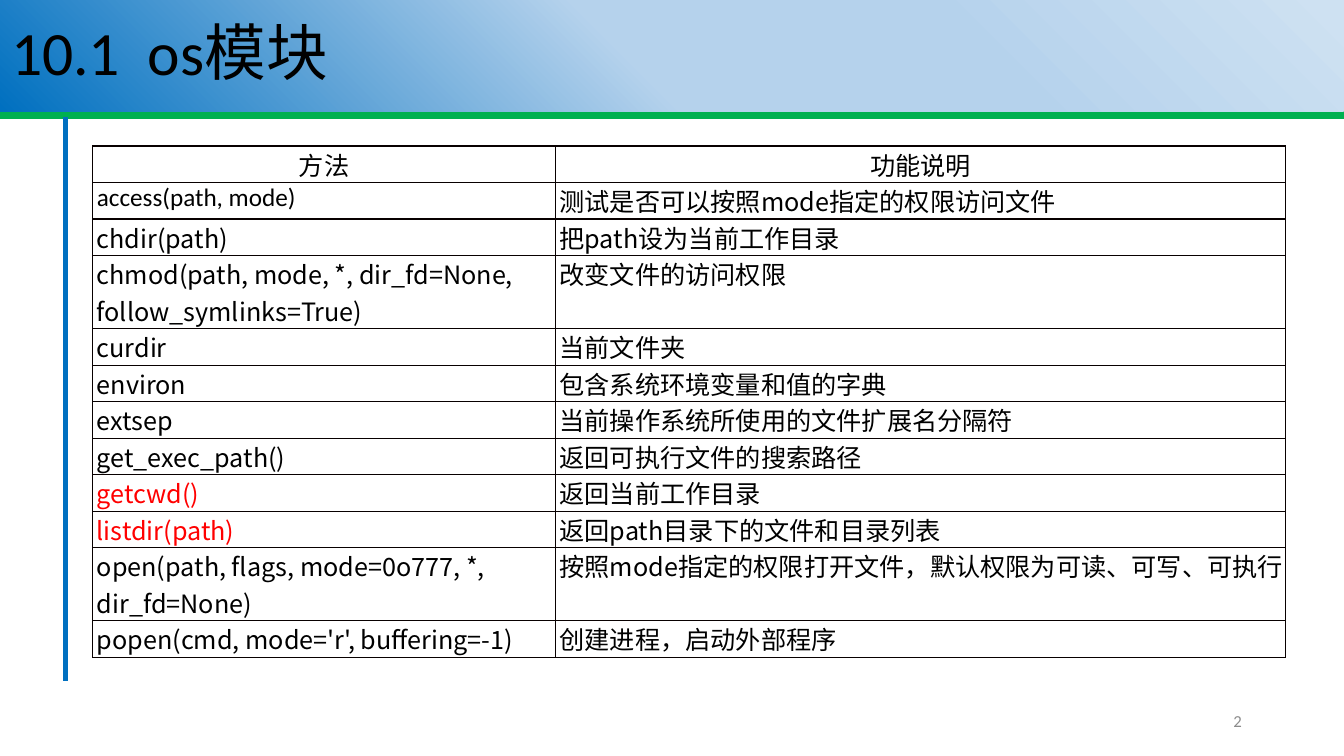
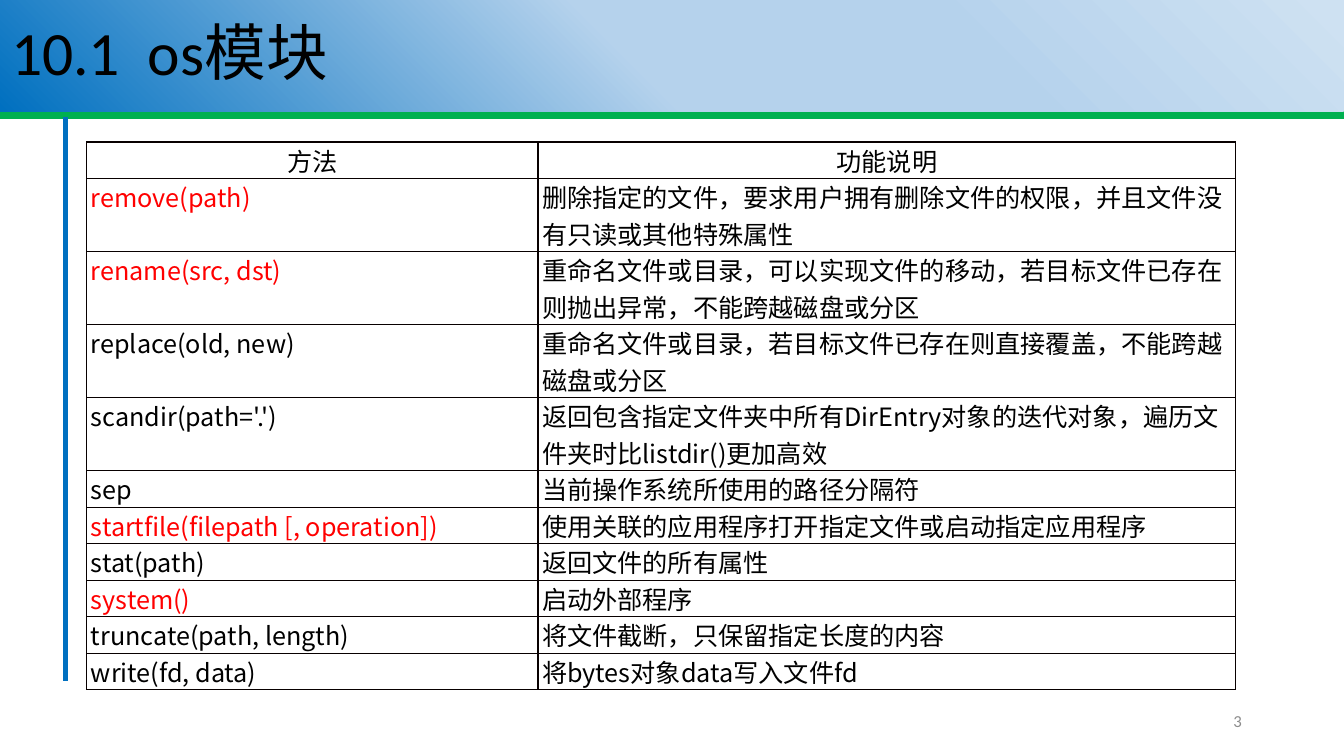
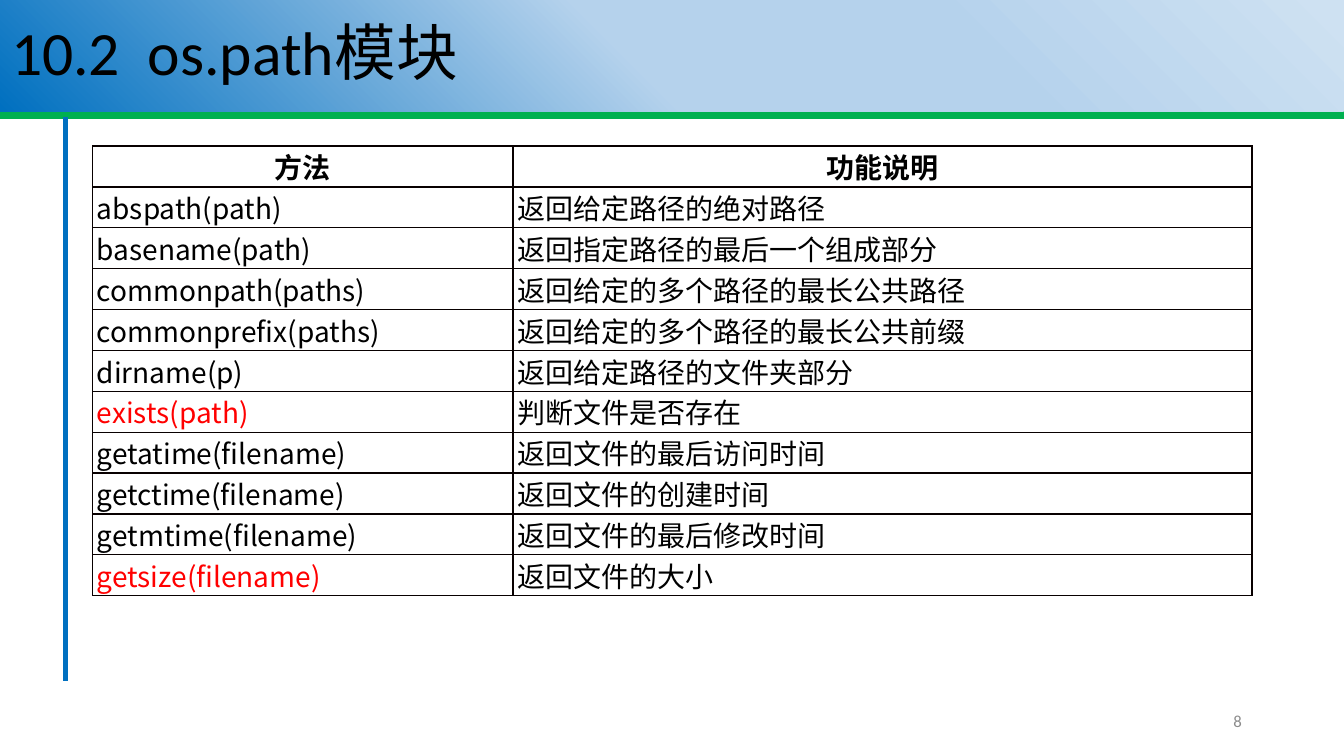
from dataclasses import dataclass
from lxml import etree
from pptx import Presentation
from pptx.dml.color import RGBColor
from pptx.enum.shapes import MSO_CONNECTOR, MSO_SHAPE
from pptx.enum.text import MSO_ANCHOR, PP_ALIGN
from pptx.oxml.ns import qn
from pptx.util import Cm, Pt

RECT = MSO_SHAPE.RECTANGLE
LINE = MSO_CONNECTOR.STRAIGHT
MID, TOP = MSO_ANCHOR.MIDDLE, MSO_ANCHOR.TOP
LEFT, MID_X, RIGHT = PP_ALIGN.LEFT, PP_ALIGN.CENTER, PP_ALIGN.RIGHT


@dataclass(frozen=True)
class Theme:
    ink: str = "000000"
    hot: str = "FF0000"
    grey: str = "8C8C8C"
    green: str = "00B050"
    blue: str = "0070C0"
    grid: str = "080000"
    fade: tuple = ((1, "CEE1F2"), (29, "B5D2EC"), (53, "B5D2EC"), (100, "0070C0"))
    latin: str = "Calibri"
    han: str = "Noto Sans CJK SC"
    title: int = 44
    foot: int = 12


T = Theme()
WIDE, HIGH = 33.87, 19.05
BAND = (0, 0, WIDE, 2.8)
FOOT = (23.93, 17.65, 7.62, 1.02)
HEAD = ("方法", "功能说明")

# Methods shown in red
HOT = {
    "getcwd()", "listdir(path)", "remove(path)", "rename(src, dst)",
    "startfile(filepath [, operation])", "system()",
    "exists(path)", "getsize(filename)",
}
# Methods set in the Latin face
PLAIN = {"access(path, mode)"}
# Methods whose row holds two lines
TALL = {
    "chmod(path, mode, *, dir_fd=None, follow_symlinks=True)",
    "open(path, flags, mode=0o777, *, dir_fd=None)",
    "remove(path)", "rename(src, dst)", "replace(old, new)", "scandir(path='.')",
}

OPEN_ROWS = (
    ("access(path, mode)", "测试是否可以按照mode指定的权限访问文件"),
    ("chdir(path)", "把path设为当前工作目录"),
    ("chmod(path, mode, *, dir_fd=None, follow_symlinks=True)", "改变文件的访问权限"),
    ("curdir", "当前文件夹"),
    ("environ", "包含系统环境变量和值的字典"),
    ("extsep", "当前操作系统所使用的文件扩展名分隔符"),
    ("get_exec_path()", "返回可执行文件的搜索路径"),
    ("getcwd()", "返回当前工作目录"),
    ("listdir(path)", "返回path目录下的文件和目录列表"),
    ("open(path, flags, mode=0o777, *, dir_fd=None)",
     "按照mode指定的权限打开文件，默认权限为可读、可写、可执行"),
    ("popen(cmd, mode='r', buffering=-1)", "创建进程，启动外部程序"),
)
FILE_ROWS = (
    ("remove(path)", "删除指定的文件，要求用户拥有删除文件的权限，并且文件没有只读或其他特殊属性"),
    ("rename(src, dst)",
     "重命名文件或目录，可以实现文件的移动，若目标文件已存在则抛出异常，不能跨越磁盘或分区"),
    ("replace(old, new)", "重命名文件或目录，若目标文件已存在则直接覆盖，不能跨越磁盘或分区"),
    ("scandir(path='.')",
     "返回包含指定文件夹中所有DirEntry对象的迭代对象，遍历文件夹时比listdir()更加高效"),
    ("sep", "当前操作系统所使用的路径分隔符"),
    ("startfile(filepath [, operation])", "使用关联的应用程序打开指定文件或启动指定应用程序"),
    ("stat(path)", "返回文件的所有属性"),
    ("system()", "启动外部程序"),
    ("truncate(path, length)", "将文件截断，只保留指定长度的内容"),
    ("write(fd, data)", "将bytes对象data写入文件fd"),
)
PATH_ROWS = (
    ("abspath(path)", "返回给定路径的绝对路径"),
    ("basename(path)", "返回指定路径的最后一个组成部分"),
    ("commonpath(paths)", "返回给定的多个路径的最长公共路径"),
    ("commonprefix(paths)", "返回给定的多个路径的最长公共前缀"),
    ("dirname(p)", "返回给定路径的文件夹部分"),
    ("exists(path)", "判断文件是否存在"),
    ("getatime(filename)", "返回文件的最后访问时间"),
    ("getctime(filename)", "返回文件的创建时间"),
    ("getmtime(filename)", "返回文件的最后修改时间"),
    ("getsize(filename)", "返回文件的大小"),
)


def place(box):
    return [Cm(v) for v in box]


def write(frame, text, size, color=T.ink, face=T.latin, align=LEFT, bold=False):
    """Add one run to the first paragraph of a text frame."""
    para = frame.paragraphs[0]
    para.alignment = align
    run = para.add_run()
    run.text = text
    font = run.font
    font.size, font.name, font.bold = Pt(size), face, bold
    font.color.rgb = RGBColor.from_string(color)
    etree.SubElement(run._r.get_or_add_rPr(), qn("a:ea"), typeface=T.han)
    return para


def solid(parent, color):
    fill = etree.SubElement(parent, qn("a:solidFill"))
    etree.SubElement(fill, qn("a:srgbClr"), val=color)


def rule(slide, start, end, color, width):
    line = slide.shapes.add_connector(LINE, *place(start + end))
    line.line.color.rgb = RGBColor.from_string(color)
    line.line.width = Pt(width)
    etree.SubElement(line._element.spPr, qn("a:effectLst"))


def fade(shape):
    """Fill a shape with the diagonal gradient of the theme."""
    grad = etree.Element(qn("a:gradFill"), rotWithShape="1")
    stops = etree.SubElement(grad, qn("a:gsLst"))
    for pos, color in T.fade:
        stop = etree.SubElement(stops, qn("a:gs"), pos=str(pos * 1000))
        etree.SubElement(stop, qn("a:srgbClr"), val=color)
    etree.SubElement(grad, qn("a:lin"), ang=str(135 * 60000), scaled="0")
    shape._element.spPr.find(qn("a:prstGeom")).addnext(grad)


def band(slide, box, title):
    shape = slide.shapes.add_shape(RECT, *place(box))
    shape.shadow.inherit = False
    shape.line.fill.background()
    fade(shape)
    frame = shape.text_frame
    frame.margin_left = Cm(0.28)
    frame.word_wrap, frame.vertical_anchor = True, MID
    write(frame, title, T.title).line_spacing = 0.9


def footer(slide, box, number):
    frame = slide.shapes.add_textbox(*place(box)).text_frame
    frame.word_wrap, frame.vertical_anchor = True, MID
    write(frame, number, T.foot, T.grey, align=RIGHT)


def border(cell):
    props = cell._tc.get_or_add_tcPr()
    for spot, side in enumerate(("lnL", "lnR", "lnT", "lnB")):
        edge = etree.Element(qn("a:" + side), w=str(Pt(1)))
        solid(edge, T.grid)
        props.insert(spot, edge)


def fill_cell(cell, text, size, head, bold):
    cell.fill.background()
    cell.margin_left = Cm(0 if head else 0.1)
    cell.margin_right = cell.margin_top = cell.margin_bottom = 0
    cell.vertical_anchor = TOP
    write(cell.text_frame, text, size,
          color=T.hot if text in HOT else T.ink,
          face=T.latin if text in PLAIN else T.han,
          align=MID_X if head else LEFT, bold=head and bold)
    border(cell)


def grid(slide, spot, cols, pitch, rows, size, bold):
    """Table at spot; pitch is the height of one line of text."""
    rows = (HEAD,) + rows
    highs = [pitch * (2 if row[0] in TALL else 1) for row in rows]
    box = spot + (sum(cols), sum(highs))
    table = slide.shapes.add_table(len(rows), len(cols), *place(box)).table
    table.first_row = table.horz_banding = False
    for col, width in zip(table.columns, cols):
        col.width = Cm(width)
    for r, row in enumerate(rows):
        table.rows[r].height = Cm(highs[r])
        for c, text in enumerate(row):
            fill_cell(table.cell(r, c), text, size, r == 0, bold)


def page(deck, title, number, spot, cols, pitch, rows, size=18, bold=False):
    slide = deck.slides.add_slide(deck.slide_layouts[6])
    # Shared frame
    rule(slide, (0, 2.9), (WIDE, 2.9), T.green, 5.25)
    rule(slide, (1.65, 2.95), (1.65, 17.17), T.blue, 3.75)
    band(slide, BAND, title)
    footer(slide, FOOT, number)
    # Method table
    grid(slide, spot, cols, pitch, rows, size, bold)


def main():
    deck = Presentation()
    deck.slide_width, deck.slide_height = Cm(WIDE), Cm(HIGH)
    page(deck, "10.1  os模块", "2", (2.34, 3.68), (11.66, 18.39), 0.92, OPEN_ROWS)
    page(deck, "10.1  os模块", "3", (2.19, 3.58), (11.37, 17.58), 0.92, FILE_ROWS)
    page(deck, "10.2  os.path模块", "8", (2.34, 3.68), (10.59, 18.62), 1.03,
         PATH_ROWS, size=20, bold=True)
    deck.save("out.pptx")


if __name__ == "__main__":
    main()
